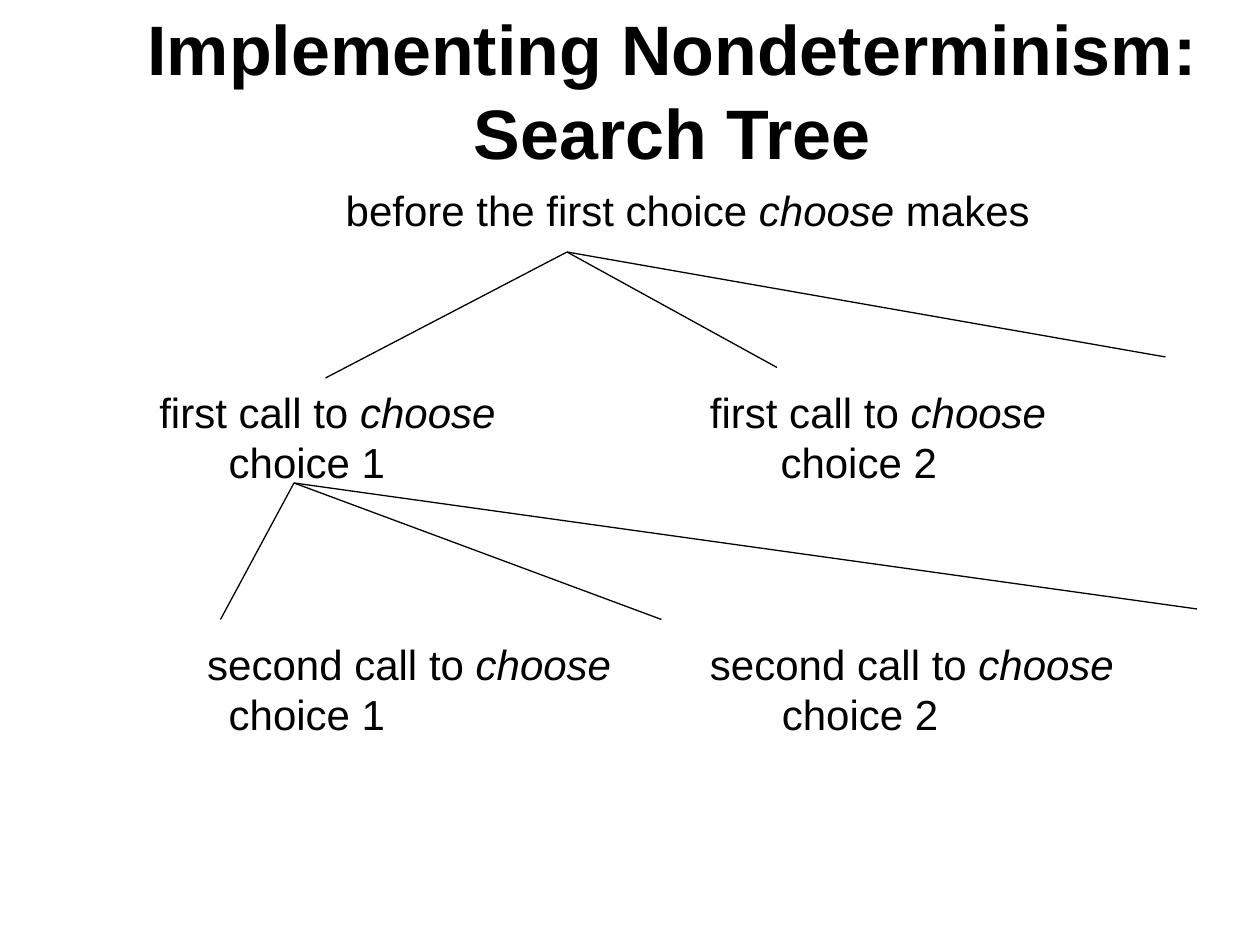
from dataclasses import dataclass

from lxml import etree
from pptx import Presentation
from pptx.dml.color import RGBColor
from pptx.enum.shapes import MSO_CONNECTOR
from pptx.enum.text import MSO_ANCHOR, MSO_AUTO_SIZE, PP_ALIGN
from pptx.oxml.ns import qn
from pptx.util import Inches, Pt

STRAIGHT = MSO_CONNECTOR.STRAIGHT
MIDDLE, TOP = MSO_ANCHOR.MIDDLE, MSO_ANCHOR.TOP
NO_AUTOFIT = MSO_AUTO_SIZE.NONE
CENTER, LEFT = PP_ALIGN.CENTER, PP_ALIGN.LEFT

FONT = "Arial"
BLACK = "000000"
CELLS_PER_INCH = 12
TITLE_SIZE, BODY_SIZE = 40, 24
LINE_FACTOR = 1.2
ROW_HEIGHT = BODY_SIZE * LINE_FACTOR
LEVEL_GAP = 3 * ROW_HEIGHT
SECOND_COLUMN = 4.37


@dataclass(frozen=True)
class Row:
    """One text row; words between asterisks are italic."""
    text: str
    tabs: tuple[float, ...] = ()
    gap: float = 0
    alignment: int = LEFT


@dataclass(frozen=True)
class Fan:
    """Branches that run from one tree node to its children, in grid cells."""
    parent: tuple[int, int]
    children: tuple[tuple[int, int], ...]


ROWS = (
    Row("before the first choice *choose* makes", alignment=CENTER),
    Row("first call to *choose*\tfirst call to *choose*", (SECOND_COLUMN,), LEVEL_GAP),
    Row("\tchoice 1\tchoice 2", (0.55, 4.93)),
    Row("\tsecond call to *choose*\tsecond call to *choose*", (0.38, SECOND_COLUMN), LEVEL_GAP),
    Row("\tchoice 1\tchoice 2", (0.55, 4.94)),
)
FANS = (
    Fan((54, 24), ((31, 36), (74, 35), (111, 34))),
    Fan((28, 46), ((21, 59), (63, 59), (114, 58))),
)


def color(value: str) -> RGBColor:
    return RGBColor.from_string(value)


def cells(count: float) -> int:
    return Inches(count / CELLS_PER_INCH)


def place(shape, left: int, top: int, width: int, height: int) -> None:
    shape.left, shape.top = cells(left), cells(top)
    shape.width, shape.height = cells(width), cells(height)


def format_frame(text_frame, anchor) -> None:
    text_frame.word_wrap = True
    text_frame.auto_size = NO_AUTOFIT
    text_frame.vertical_anchor = anchor


def format_run(run, size: float, bold: bool = False, italic: bool = False) -> None:
    font = run.font
    font.name, font.size = FONT, Pt(size)
    font.bold, font.italic = bold, italic
    font.color.rgb = color(BLACK)


def add_tabs(paragraph, positions: tuple[float, ...]) -> None:
    tab_list = etree.SubElement(paragraph._p.get_or_add_pPr(), qn("a:tabLst"))
    for position in positions:
        etree.SubElement(tab_list, qn("a:tab"), pos=str(Inches(position)), algn="l")


def write_row(paragraph, row: Row) -> None:
    if row.tabs:
        add_tabs(paragraph, row.tabs)
    paragraph.alignment = row.alignment
    paragraph.line_spacing = Pt(ROW_HEIGHT)
    paragraph.space_before = Pt(row.gap)
    for index, part in enumerate(row.text.split("*")):
        if part:
            run = paragraph.add_run()
            run.text = part
            format_run(run, BODY_SIZE, italic=index % 2 == 1)


def draw_fan(slide, fan: Fan) -> None:
    start = [cells(value) for value in fan.parent]
    for child in fan.children:
        end = [cells(value) for value in child]
        branch = slide.shapes.add_connector(STRAIGHT, *start, *end)
        branch.line.color.rgb = color(BLACK)
        branch.line.width = Pt(0.75)
        etree.SubElement(branch._element.spPr, qn("a:effectLst"))


def main() -> None:
    presentation = Presentation()
    presentation.slide_width, presentation.slide_height = Inches(10), Inches(7.5)
    slide = presentation.slides.add_slide(presentation.slide_layouts[5])

    # Title
    title = slide.shapes.title
    place(title, 11, 1, 106, 15)
    format_frame(title.text_frame, MIDDLE)
    title.text_frame.text = "Implementing Nondeterminism: Search Tree"
    paragraph = title.text_frame.paragraphs[0]
    paragraph.alignment = CENTER
    paragraph.line_spacing = Pt(TITLE_SIZE * LINE_FACTOR)
    format_run(paragraph.runs[0], TITLE_SIZE, bold=True)

    # Node labels, level by level
    labels = slide.shapes.add_textbox(0, 0, 0, 0)
    place(labels, 14, 17, 103, 54)
    text_frame = labels.text_frame
    format_frame(text_frame, TOP)
    for index, row in enumerate(ROWS):
        write_row(text_frame.add_paragraph() if index else text_frame.paragraphs[0], row)

    # Branches
    for fan in FANS:
        draw_fan(slide, fan)

    presentation.save("out.pptx")


if __name__ == "__main__":
    main()
